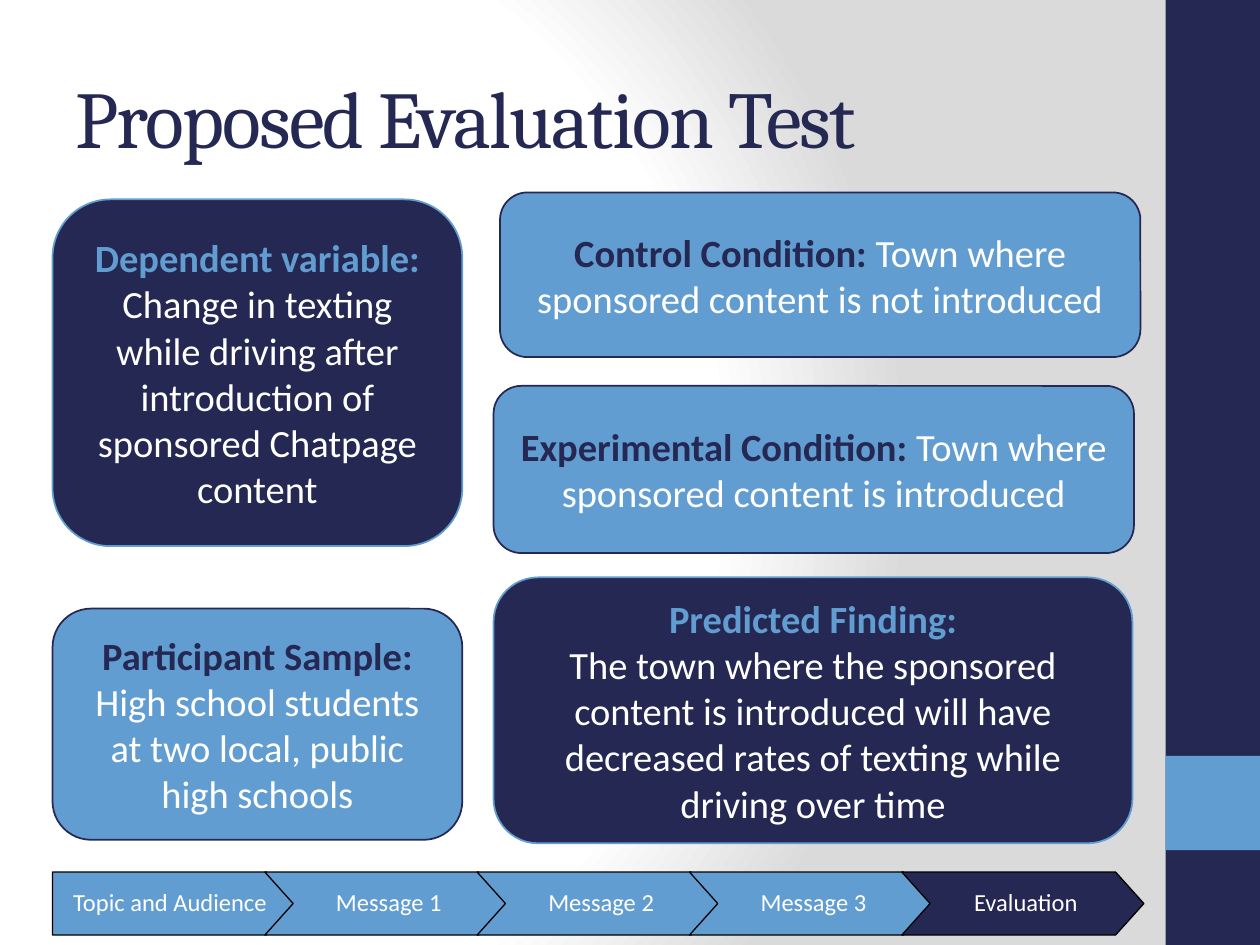
"""Build the slide on the proposed evaluation test."""
from lxml import etree
from pptx import Presentation
from pptx.dml.color import RGBColor
from pptx.enum.shapes import MSO_SHAPE
from pptx.enum.text import MSO_ANCHOR, PP_ALIGN
from pptx.oxml import parse_xml
from pptx.util import Cm, Pt

RECTANGLE, ROUNDED = MSO_SHAPE.RECTANGLE, MSO_SHAPE.ROUNDED_RECTANGLE
MIDDLE = MSO_ANCHOR.MIDDLE
LEFT, CENTER = PP_ALIGN.LEFT, PP_ALIGN.CENTER

COLORS = {
    "navy": "242852", "blue": "629DD1", "white": "FFFFFF",
    "black": "000000", "gray": "DADADA",
}
TITLE = "Proposed Evaluation Test"
SIDE_BARS = [("navy", 0, 19.05), ("blue", 15.24, 1.9)]
STEPS = ["Topic and Audience", "Message 1", "Message 2", "Message 3", "Evaluation"]
CURRENT_STEP = "Evaluation"
CARDS = [
    ((1.06, 12.27, 8.26, 4.66), "blue", "navy",
     [["Participant Sample: ", "High school students at two local, public high schools"]]),
    ((9.95, 7.78, 12.91, 3.37), "blue", "navy",
     [["Experimental Condition: ", "Town where sponsored content is introduced"]]),
    ((10.08, 3.88, 12.91, 3.32), "blue", "navy",
     [["Control Condition: ", "Town where sponsored content is not introduced"]]),
    ((1.06, 4.02, 8.26, 6.99), "navy", "blue",
     [["Dependent variable: ",
       "Change in texting while driving after introduction of sponsored Chatpage content"]]),
    ((9.95, 11.64, 12.88, 5.36), "navy", "blue",
     [["Predicted Finding:"],
      ["The town where the sponsored content is introduced will have "
       "decreased rates of texting while driving over time"]]),
]
STEP_LEFT, STEP_TOP, STEP_PITCH = 1.06, 17.58, 4.28
STEP_WIDTH, STEP_HEIGHT, STEP_POINT = 4.88, 1.27, 0.57
BACKGROUND = """
<p:bg xmlns:p="http://schemas.openxmlformats.org/presentationml/2006/main"
      xmlns:a="http://schemas.openxmlformats.org/drawingml/2006/main">
  <p:bgPr><a:gradFill rotWithShape="1"><a:gsLst>
    <a:gs pos="0"><a:srgbClr val="{white}"/></a:gs>
    <a:gs pos="75000"><a:srgbClr val="{white}"/></a:gs>
    <a:gs pos="100000"><a:srgbClr val="{gray}"/></a:gs>
  </a:gsLst><a:path path="circle">
    <a:fillToRect l="20000" t="50000" r="100000" b="50000"/>
  </a:path></a:gradFill><a:effectLst/></p:bgPr>
</p:bg>"""


def color(name):
    return RGBColor.from_string(COLORS[name])


def paint(shape, fill, line=None, width=1):
    shape.shadow.inherit = False
    shape.fill.solid()
    shape.fill.fore_color.rgb = color(fill)
    if line:
        shape.line.color.rgb = color(line)
        shape.line.width = Pt(width)
    else:
        shape.line.fill.background()


def add_span(para, text, size, ink, font="Calibri", bold=False):
    span = para.add_run()
    span.text = text
    span.font.name, span.font.size, span.font.bold = font, Pt(size), bold
    span.font.color.rgb = color(ink)
    return span


def prepare_frame(shape, align):
    frame = shape.text_frame
    frame.word_wrap = True
    frame.vertical_anchor = MIDDLE
    frame.paragraphs[0].alignment = align
    return frame


def add_step(page, index, label):
    left, top = STEP_LEFT + index * STEP_PITCH, STEP_TOP
    right, bottom = left + STEP_WIDTH, top + STEP_HEIGHT
    middle, shoulder = top + STEP_HEIGHT / 2, right - STEP_POINT
    points = [(shoulder, top), (right, middle), (shoulder, bottom), (left, bottom)]
    if index:
        points.append((left + STEP_POINT, middle))
    builder = page.shapes.build_freeform(Cm(left), Cm(top))
    builder.add_line_segments([(Cm(x), Cm(y)) for x, y in points], close=True)
    step = builder.convert_to_shape()
    paint(step, "navy" if label == CURRENT_STEP else "blue", "black", 0.75)
    frame = prepare_frame(step, CENTER)
    frame.margin_left, frame.margin_right = (Cm(0.81), Cm(0.69)) if index else (Cm(0.24), Cm(0.38))
    para = frame.paragraphs[0]
    para.line_spacing, para.space_after = 0.9, Pt(4.9)
    add_span(para, label, 14, "white")


def add_card(page, place, fill, accent, paragraphs):
    card = page.shapes.add_shape(ROUNDED, *map(Cm, place))
    paint(card, fill, accent)
    frame = prepare_frame(card, CENTER)
    heading = paragraphs[0][0]
    for number, texts in enumerate(paragraphs):
        para = frame.add_paragraph() if number else frame.paragraphs[0]
        para.alignment = CENTER
        for text in texts:
            is_heading = text == heading
            add_span(para, text, 22, accent if is_heading else "white", bold=is_heading)


def add_title(page):
    box = page.shapes.add_textbox(Cm(1.27), Cm(0.76), Cm(21.16), Cm(3.18))
    para = prepare_frame(box, LEFT).paragraphs[0]
    span = add_span(para, TITLE, 46, "navy", "Cambria")
    span.font._element.set("spc", "-100")


def main():
    deck = Presentation()
    deck.slide_width, deck.slide_height = Cm(25.4), Cm(19.05)
    page = deck.slides.add_slide(deck.slide_layouts[6])
    background = parse_xml(etree.tostring(etree.fromstring(BACKGROUND.format(**COLORS))))
    page._element.cSld.insert(0, background)
    for fill, top, height in SIDE_BARS:
        bar = page.shapes.add_shape(RECTANGLE, Cm(23.5), Cm(top), Cm(1.9), Cm(height))
        paint(bar, fill)
    for index, label in enumerate(STEPS):
        add_step(page, index, label)
    for card in CARDS:
        add_card(page, *card)
    add_title(page)
    deck.save("out.pptx")


if __name__ == "__main__":
    main()
